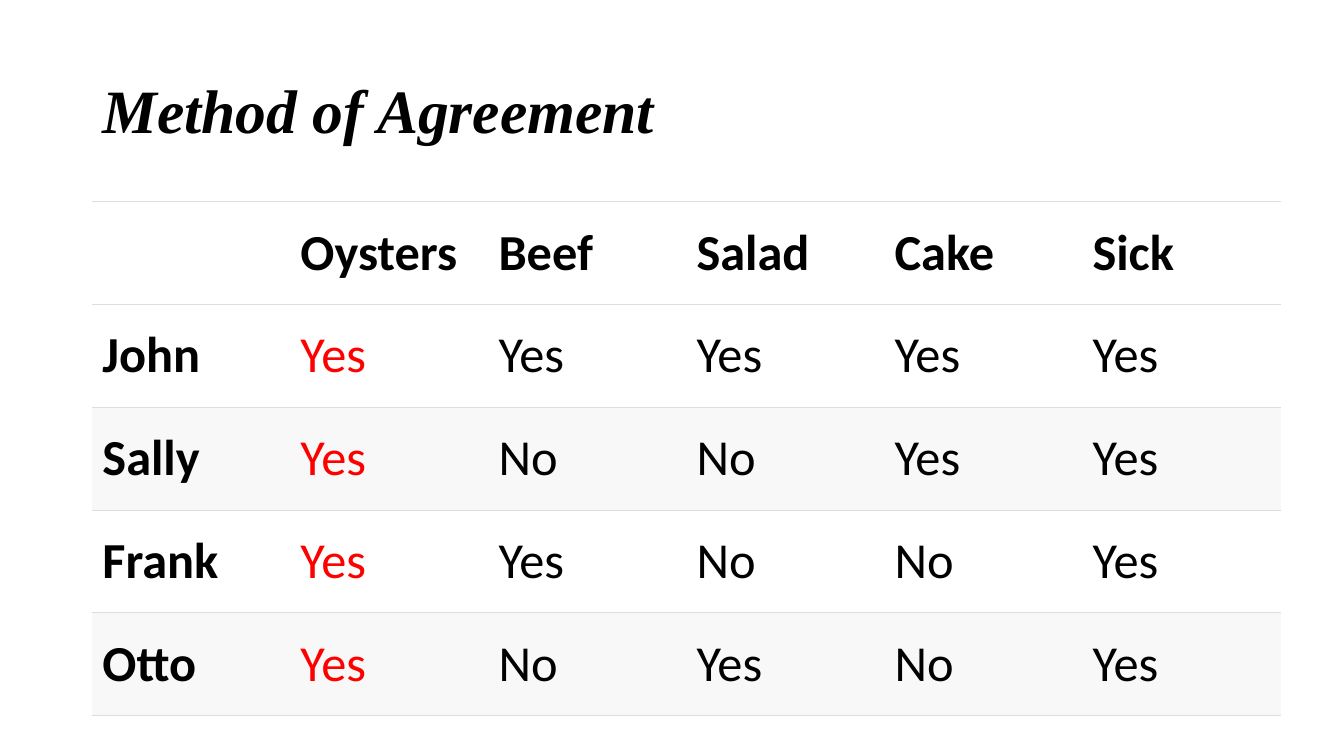
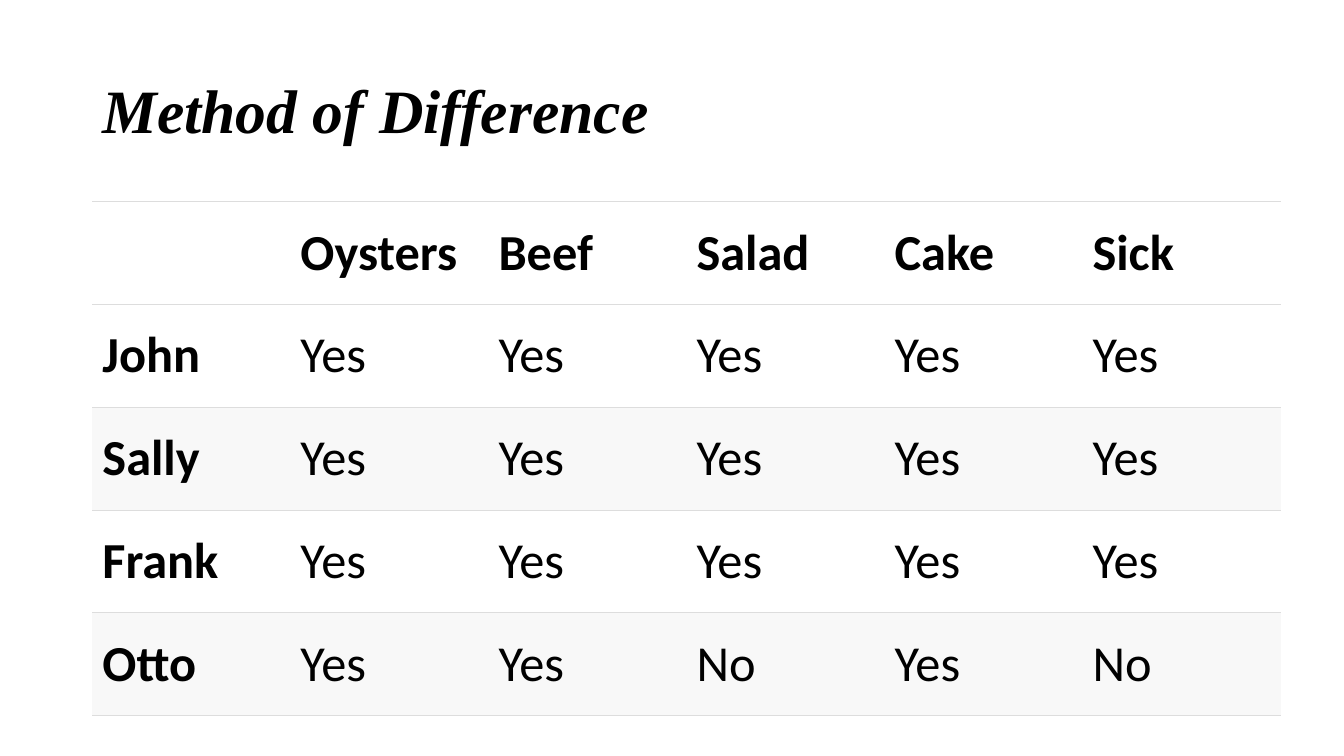
from lxml import etree
from pptx import Presentation
from pptx.dml.color import RGBColor
from pptx.enum.text import MSO_ANCHOR
from pptx.oxml.ns import qn
from pptx.util import Pt

MIDDLE = MSO_ANCHOR.MIDDLE
BLANK_LAYOUT = 6
BLACK, RED = "000000", "FF0000"
BAND_FILLS = ("FFFFFF", "F8F8F8")
RULE_COLOUR = "DDDDDD"
RULE_WIDTH, LAST_RULE_WIDTH = 0.6, 1.2

LEFT = 66
TITLE_TOP, TITLE_WIDTH, TITLE_HEIGHT = 28.75, 828, 104.4
TABLE_TOP, COLUMN_WIDTH, ROW_HEIGHT = 144, 141.45, 73.44

TITLE_FONT = {"name": "Times New Roman", "size": Pt(44), "bold": True, "italic": True}
CELL_FONT = {"name": "Calibri", "size": Pt(36), "bold": False}
HEADING_FONT = {**CELL_FONT, "bold": True}

FOODS = ["", "Oysters", "Beef", "Salad", "Cake", "Sick"]
AGREEMENT = [
    ["John", "Yes", "Yes", "Yes", "Yes", "Yes"],
    ["Sally", "Yes", "No", "No", "Yes", "Yes"],
    ["Frank", "Yes", "Yes", "No", "No", "Yes"],
    ["Otto", "Yes", "No", "Yes", "No", "Yes"],
]
DIFFERENCE = [
    ["John", "Yes", "Yes", "Yes", "Yes", "Yes"],
    ["Sally", "Yes", "Yes", "Yes", "Yes", "Yes"],
    ["Frank", "Yes", "Yes", "Yes", "Yes", "Yes"],
    ["Otto", "Yes", "Yes", "No", "Yes", "No"],
]


def colour(value):
    return RGBColor.from_string(value)


def write(frame, text, font_format, font_colour=BLACK):
    span = frame.paragraphs[0].add_run()
    span.text = text
    for attribute, value in font_format.items():
        setattr(span.font, attribute, value)
    span.font.color.rgb = colour(font_colour)


def add_title(page, text):
    box = page.shapes.add_textbox(Pt(LEFT), Pt(TITLE_TOP), Pt(TITLE_WIDTH), Pt(TITLE_HEIGHT))
    frame = box.text_frame
    frame.word_wrap = True
    frame.vertical_anchor = MIDDLE
    frame.paragraphs[0].line_spacing = 0.9
    write(frame, text, TITLE_FONT)


def set_borders(cell, bottom_width):
    properties = cell._tc.get_or_add_tcPr()
    for side in ("a:lnL", "a:lnR"):
        line = etree.SubElement(properties, qn(side), w="0")
        etree.SubElement(line, qn("a:noFill"))
    for side, width in (("a:lnT", RULE_WIDTH), ("a:lnB", bottom_width)):
        line = etree.SubElement(properties, qn(side), w=str(Pt(width)))
        fill = etree.SubElement(line, qn("a:solidFill"))
        etree.SubElement(fill, qn("a:srgbClr"), val=RULE_COLOUR)


def style_cell(cell, row, is_last_row):
    cell.vertical_anchor = MIDDLE
    set_borders(cell, LAST_RULE_WIDTH if is_last_row else RULE_WIDTH)
    cell.fill.solid()
    is_banded = row > 0 and row % 2 == 0
    cell.fill.fore_color.rgb = colour(BAND_FILLS[is_banded])


def add_meal_table(page, people, red_column):
    rows = [FOODS, *people]
    table = page.shapes.add_table(
        len(rows), len(FOODS), Pt(LEFT), Pt(TABLE_TOP),
        Pt(COLUMN_WIDTH * len(FOODS)), Pt(ROW_HEIGHT * len(rows)),
    ).table
    for column in table.columns:
        column.width = Pt(COLUMN_WIDTH)
    for row, texts in enumerate(rows):
        table.rows[row].height = Pt(ROW_HEIGHT)
        for column, text in enumerate(texts):
            cell = table.cell(row, column)
            style_cell(cell, row, row == len(rows) - 1)
            is_heading = row == 0 or column == 0
            is_red = column == red_column and not is_heading
            if text:
                write(cell.text_frame, text,
                      HEADING_FONT if is_heading else CELL_FONT,
                      RED if is_red else BLACK)


def add_method_page(deck, title, people, red_column=None):
    page = deck.slides.add_slide(deck.slide_layouts[BLANK_LAYOUT])
    add_title(page, title)
    add_meal_table(page, people, red_column)


def main():
    deck = Presentation()
    deck.slide_width, deck.slide_height = Pt(960), Pt(540)
    add_method_page(deck, "Method of Agreement", AGREEMENT, FOODS.index("Oysters"))
    add_method_page(deck, "Method of Difference", DIFFERENCE)
    deck.save("out.pptx")


if __name__ == "__main__":
    main()
